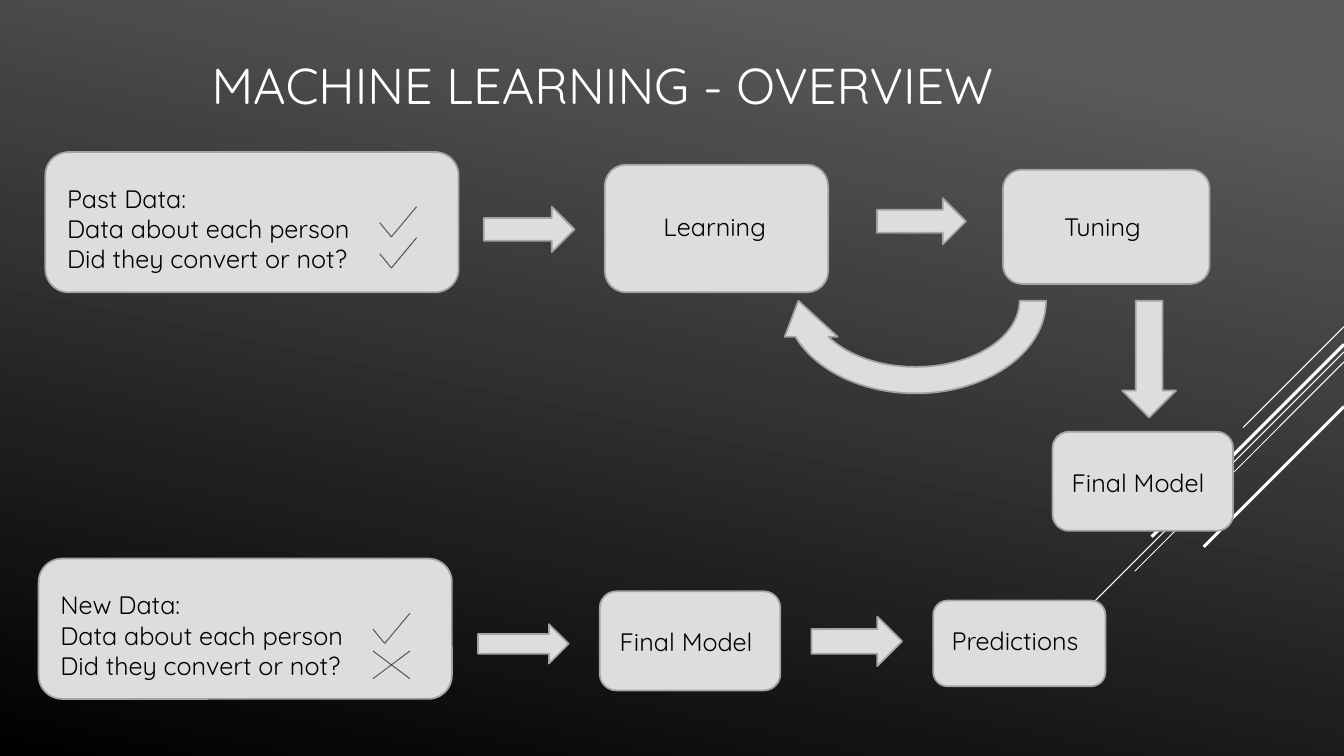
import pptx
import pptx.dml.color
import pptx.enum.shapes
import pptx.enum.text
import pptx.oxml.ns
import pptx.util
from lxml import etree

RGB = pptx.dml.color.RGBColor
SHAPE = pptx.enum.shapes.MSO_SHAPE
ANCHOR = pptx.enum.text.MSO_ANCHOR

WHITE = RGB(0xFF, 0xFF, 0xFF)
BLACK = RGB(0x00, 0x00, 0x00)
CHARCOAL = RGB(0x5B, 0x5B, 0x5B)
PALE_GREY = RGB(0xDD, 0xDD, 0xDD)
EDGE_GREY = RGB(0xA3, 0xA3, 0xA3)

FONT = "Quicksand"
COLUMNS, ROWS = 160, 90
CELL = pptx.util.Inches(7.5) / ROWS
QUESTIONS = ["Data about each person", "Did they convert or not?"]


def cells(*counts):
    """Turn counts of grid cells into lengths."""
    return [round(count * CELL) for count in counts]


def paint_background(slide):
    fill = slide.background.fill
    fill.gradient()
    fill.gradient_angle = 258
    for stop, position, color in zip(fill.gradient_stops, (0.1, 1), (CHARCOAL, BLACK)):
        stop.position = position
        stop.color.rgb = color


def add_text(slide, lines, place, size=18, color=BLACK, anchor=ANCHOR.TOP, bottom=0.6):
    frame = slide.shapes.add_textbox(*cells(*place)).text_frame
    frame.word_wrap = True
    frame.vertical_anchor = anchor
    frame.margin_bottom = cells(bottom)[0]
    frame.text = "\n".join(lines)
    for paragraph in frame.paragraphs:
        paragraph.font.name = FONT
        paragraph.font.size = pptx.util.Pt(size)
        paragraph.font.color.rgb = color


def add_line(slide, start, end, color, width=0.75, opacity=100):
    line = slide.shapes.add_connector(
        pptx.enum.shapes.MSO_CONNECTOR.STRAIGHT, *cells(*start, *end))
    line.line.color.rgb = color
    line.line.width = pptx.util.Pt(width)
    properties = line.line._get_or_add_ln().getparent()
    etree.SubElement(properties, pptx.oxml.ns.qn("a:effectLst"))
    if opacity < 100:
        shade = properties.find(".//" + pptx.oxml.ns.qn("a:srgbClr"))
        etree.SubElement(shade, pptx.oxml.ns.qn("a:alpha"), val=str(opacity * 1000))


def add_block(slide, kind, place, rotation=0):
    """Add a grey box or block arrow."""
    block = slide.shapes.add_shape(kind, *cells(*place))
    block.rotation = rotation
    block.shadow.inherit = False
    block.fill.solid()
    block.fill.fore_color.rgb = PALE_GREY
    block.line.color.rgb = EDGE_GREY
    block.line.width = pptx.util.Pt(1.25)


def add_step(slide, label, place, label_place):
    add_block(slide, SHAPE.ROUNDED_RECTANGLE, place)
    add_text(slide, [label], (*label_place, 4.8))


def add_mark(slide, *points):
    for start, end in zip(points, points[1:]):
        add_line(slide, start, end, BLACK, opacity=60)


def add_tick(slide, x, y):
    add_mark(slide, (x, y), (x + 1.4, y + 1.7), (x + 4.4, y - 1.9))


def add_cross(slide, x, y):
    add_mark(slide, (x, y), (x + 4.4, y + 3.3))
    add_mark(slide, (x, y + 3.3), (x + 4.4, y))


def add_data_panel(slide, heading, left, top, outcome_known):
    add_block(slide, SHAPE.ROUNDED_RECTANGLE, (left, top, 49.2, 16.7))
    add_text(slide, [heading, *QUESTIONS], (left + 1.4, top + 3.1, 44.8, 12.1))
    add_tick(slide, left + 39.8, top + 8.4)
    if outcome_known:
        add_tick(slide, left + 39.8, top + 12.1)
    else:
        add_cross(slide, left + 39.8, top + 11)


def add_corner_stripes(slide):
    """Draw the diagonals that run down from the right edge."""
    for top, run, width in ((38.9, 12, 0.75), (41.9, 39.1, 0.75), (43.1, 24.9, 0.75),
                            (41, 22.9, 2.25), (48.4, 16.7, 2.25)):
        add_line(slide, (COLUMNS, top), (COLUMNS - run, top + run), WHITE, width)


def main():
    deck = pptx.Presentation()
    deck.slide_width, deck.slide_height = cells(COLUMNS, ROWS)
    slide = deck.slides.add_slide(deck.slide_layouts[6])
    paint_background(slide)
    add_corner_stripes(slide)
    add_text(slide, ["MACHINE LEARNING - OVERVIEW"], (24, 3.5, 112, 19.8),
             size=36, color=WHITE, anchor=ANCHOR.MIDDLE, bottom=7.2)

    add_data_panel(slide, "Past Data:", 5.4, 18.1, outcome_known=True)
    add_data_panel(slide, "New Data:", 4.6, 66.5, outcome_known=False)

    for label, place, label_place in (
            ("Learning", (72, 19.6, 26.6, 15.2), (77.8, 24.6, 15.4)),
            ("Tuning", (119.4, 20.2, 24.6, 13.6), (125.5, 24.6, 16)),
            ("Final Model", (125.3, 51.4, 21.5, 11.8), (126.4, 55.1, 20.4)),
            ("Final Model", (71.4, 70.4, 21.5, 11.8), (72.6, 74, 20.4)),
            ("Predictions", (111.1, 71.5, 20.5, 10.2), (112.1, 73.9, 18.6))):
        add_step(slide, label, place, label_place)

    for place in ((57.6, 24.6, 10.8, 5.4), (104.4, 23.6, 10.6, 5.5),
                  (56.9, 74.3, 10.8, 4.7), (96.6, 73.4, 10.8, 5.9)):
        add_block(slide, SHAPE.RIGHT_ARROW, place)
    add_block(slide, SHAPE.CIRCULAR_ARROW, (91.9, 23.2, 34.2, 25.2), rotation=180)
    add_block(slide, SHAPE.DOWN_ARROW, (133.6, 35.8, 6.4, 13.9))

    deck.save("out.pptx")


if __name__ == "__main__":
    main()
